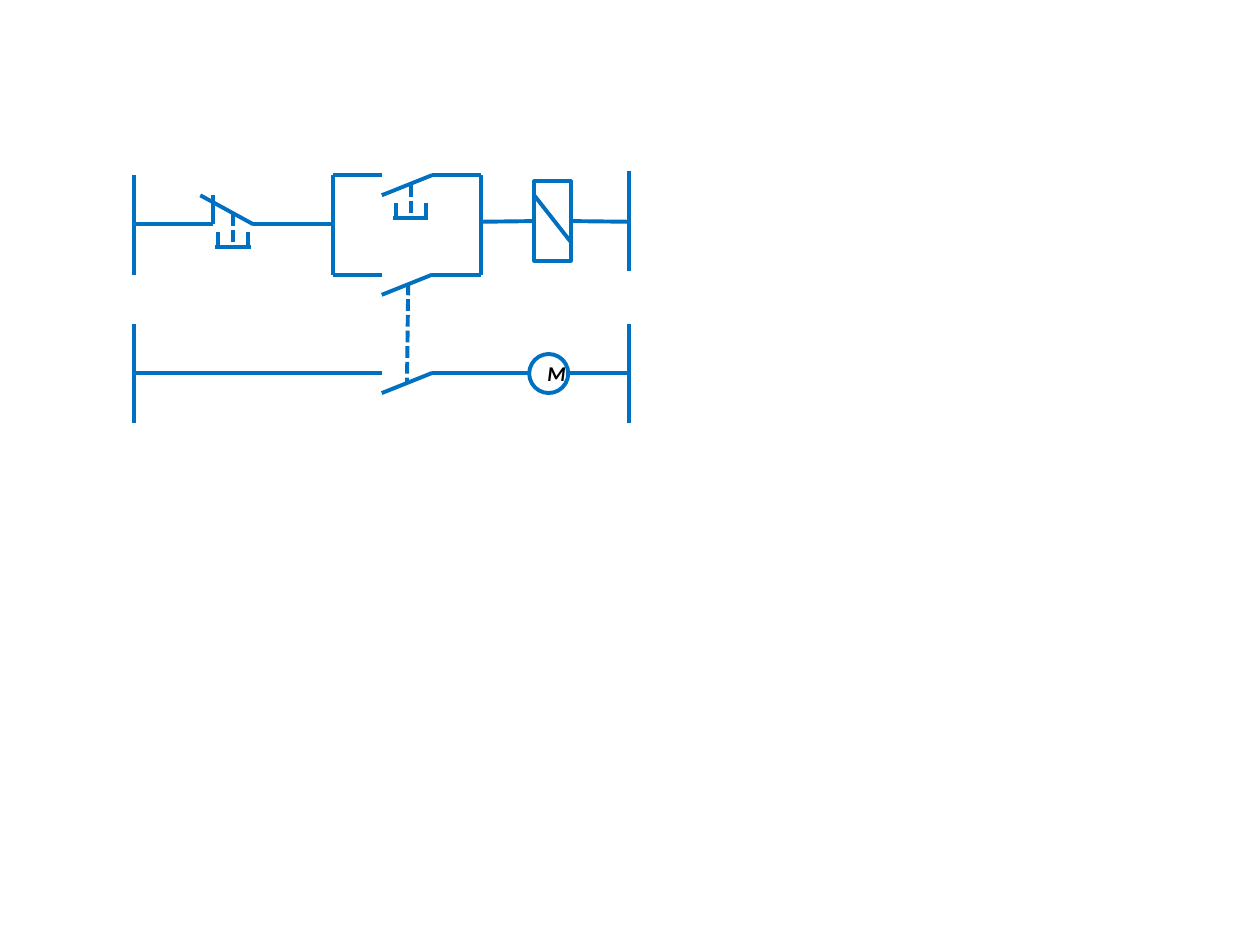
from dataclasses import dataclass

from pptx import Presentation
from pptx.dml.color import RGBColor
from pptx.enum import dml, shapes, text
from pptx.oxml import ns
from pptx.util import Inches, Pt
from lxml import etree


@dataclass(frozen=True)
class Theme:
    wire: RGBColor = RGBColor(0x00, 0x70, 0xC0)
    label: RGBColor = RGBColor(0, 0, 0)
    wire_width: Pt = Pt(2.25)
    label_size: Pt = Pt(12)
    font: str = "Calibri"


theme = Theme()
prs = Presentation()
prs.slide_width, prs.slide_height = Inches(10), Inches(7.5)
slide = prs.slides.add_slide(prs.slide_layouts[6])


def wire(x1, y1, x2, y2, dashed=False):
    line = slide.shapes.add_connector(
        shapes.MSO_CONNECTOR.STRAIGHT, Inches(x1), Inches(y1), Inches(x2), Inches(y2))
    line.line.color.rgb = theme.wire
    line.line.width = theme.wire_width
    if dashed:
        line.line.dash_style = dml.MSO_LINE.SQUARE_DOT
    etree.SubElement(line._element.spPr, ns.qn("a:effectLst"))
    return line


def component(kind, left, top, width, height):
    part = slide.shapes.add_shape(
        kind, Inches(left), Inches(top), Inches(width), Inches(height))
    part.shadow.inherit = False
    part.fill.background()
    part.line.color.rgb = theme.wire
    part.line.width = theme.wire_width
    return part


left_rail, right_rail = 1.06, 4.99
branch_left, branch_right = 2.64, 3.82
contact_left, contact_right = 3.03, 3.43
control_y, coil_y, motor_y = 1.78, 1.76, 2.96
start_y, hold_y = 1.39, 2.18
rail_height = 0.79

# Supply rails of the control and motor circuits
for x, top in ((left_rail, 1.39), (right_rail, 1.36),
               (left_rail, 2.57), (right_rail, 2.57)):
    wire(x, top + rail_height, x, top)

# Stop contact, normally closed
wire(left_rail, control_y, 1.69, control_y)
wire(1.69, 1.55, 1.69, control_y)
wire(1.59, 1.55, 2.01, control_y)
wire(2.01, control_y, branch_left, control_y)

# Parallel branches for the start and holding contacts
for x in (branch_left, branch_right):
    wire(x, hold_y, x, start_y)
for y in (start_y, hold_y):
    wire(branch_left, y, contact_left, y)
    wire(contact_right, y, branch_right, y)

# Open contact blades
for y in (start_y, hold_y, motor_y):
    wire(contact_right, y, contact_left, y + 0.16)

# Push buttons of the start and stop contacts
for x, stem_top, base in ((3.26, 1.47, 1.73), (1.85, 1.7, 1.96)):
    wire(x, stem_top, x, base, dashed=True)
    wire(x - 0.14, base, x + 0.14, base)
    for side in (x - 0.12, x + 0.12):
        wire(side, base - 0.12, side, base)

# Relay coil
coil = component(shapes.MSO_SHAPE.RECTANGLE, 4.24, 1.44, 0.29, 0.63)
wire(4.53, 1.92, 4.24, 1.55)
wire(branch_right, coil_y, 4.24, coil_y).end_connect(coil, 1)
wire(4.53, coil_y, right_rail, coil_y).begin_connect(coil, 3)

# Motor circuit and the link from the relay
wire(left_rail, motor_y, contact_left, motor_y)
wire(contact_right, motor_y, 4.2, motor_y)
wire(right_rail, motor_y, 4.52, motor_y)
wire(3.24, 2.25, 3.23, 3.04, dashed=True)

# Motor
motor = component(shapes.MSO_SHAPE.OVAL, 4.2, 2.81, 0.31, 0.31)
motor.text_frame.word_wrap = True
motor.text_frame.vertical_anchor = text.MSO_ANCHOR.MIDDLE
motor_label = motor.text_frame.paragraphs[0]
motor_label.text = "M"
motor_label.alignment = text.PP_ALIGN.CENTER
motor_label.font.name = theme.font
motor_label.font.size = theme.label_size
motor_label.font.bold = motor_label.font.italic = True
motor_label.font.color.rgb = theme.label

prs.save("out.pptx")
